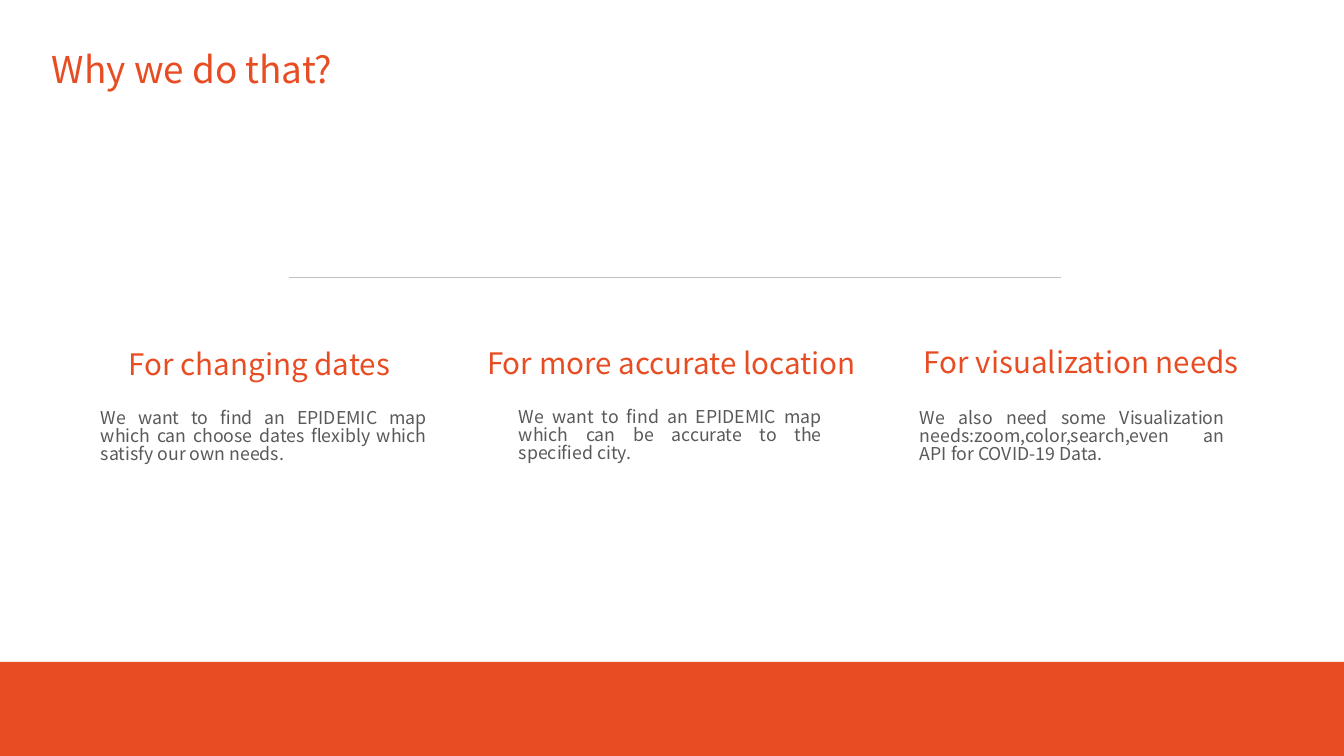
from lxml.etree import SubElement
from pptx import Presentation
from pptx.dml.color import RGBColor
from pptx.enum.shapes import MSO_CONNECTOR, MSO_SHAPE
from pptx.enum.text import MSO_ANCHOR, MSO_AUTO_SIZE, PP_ALIGN as Align
from pptx.oxml.ns import qn
from pptx.util import Emu, Pt

ORANGE = RGBColor(0xE8, 0x4C, 0x22)
GRAY = RGBColor(0x59, 0x59, 0x59)
RULE_GRAY = RGBColor(0xBF, 0xBF, 0xBF)

WIDTH, HEIGHT = 1344, 756
BAND_TOP = 662
HEADING_HEIGHT, BODY_HEIGHT = 41, 87

# Heading, its left, top and width; body text, its left, top and width
REASONS = [
    ("For changing dates", (113, 343, 293),
     "We want to find an EPIDEMIC map which can choose dates flexibly "
     "which satisfy our own needs.", (101, 394, 326)),
    ("For more accurate location", (476, 342, 391),
     "We want to find an EPIDEMIC map which can be accurate to the "
     "specified city.", (519, 393, 303)),
    ("For visualization needs", (909, 341, 345),
     "We also need some Visualization needs:zoom,color,search,even an "
     "API for COVID-19 Data.", (920, 394, 305)),
]


def px(length):
    return Emu(length * 8600)


class SlidePainter:
    font = "Noto Sans CJK SC"

    def __init__(self, page):
        self.page = page

    def text(self, words, left, top, width, height, size, color,
             align=Align.LEFT, spacing=1.0):
        box = self.page.shapes.add_textbox(px(left), px(top), px(width), px(height))
        frame = box.text_frame
        frame.word_wrap = True
        frame.auto_size = MSO_AUTO_SIZE.NONE
        frame.vertical_anchor = MSO_ANCHOR.MIDDLE
        frame.margin_left = frame.margin_right = 0
        frame.margin_top = frame.margin_bottom = 0
        para = frame.paragraphs[0]
        para.alignment = align
        para.line_spacing = spacing
        span = para.add_run()
        span.text = words
        span.font.name = self.font
        span.font.size = Pt(size)
        span.font.color.rgb = color

    def rule(self, left, right, y, color, weight):
        line = self.page.shapes.add_connector(
            MSO_CONNECTOR.STRAIGHT, px(left), px(y), px(right), px(y))
        line.line.color.rgb = color
        line.line.width = Pt(weight)
        SubElement(line._element.spPr, qn("a:effectLst"))

    def band(self, left, top, width, height, color):
        shape = self.page.shapes.add_shape(
            MSO_SHAPE.RECTANGLE, px(left), px(top), px(width), px(height))
        shape.shadow.inherit = False
        shape.fill.solid()
        shape.fill.fore_color.rgb = color
        shape.line.fill.background()


def main():
    deck = Presentation()
    deck.slide_width, deck.slide_height = px(WIDTH), px(HEIGHT)
    painter = SlidePainter(deck.slides.add_slide(deck.slide_layouts[6]))

    painter.rule(289, 1061, 277, RULE_GRAY, 0.5)
    painter.text("Why we do that?", 52, 43, 405, 52, 25, ORANGE)
    for heading, heading_place, body, body_place in REASONS:
        painter.text(heading, *heading_place, HEADING_HEIGHT, 20, ORANGE, Align.CENTER)
        painter.text(body, *body_place, BODY_HEIGHT, 12, GRAY, Align.JUSTIFY, 0.84)
    painter.band(0, BAND_TOP, WIDTH, HEIGHT - BAND_TOP, ORANGE)

    deck.save("out.pptx")


if __name__ == "__main__":
    main()
